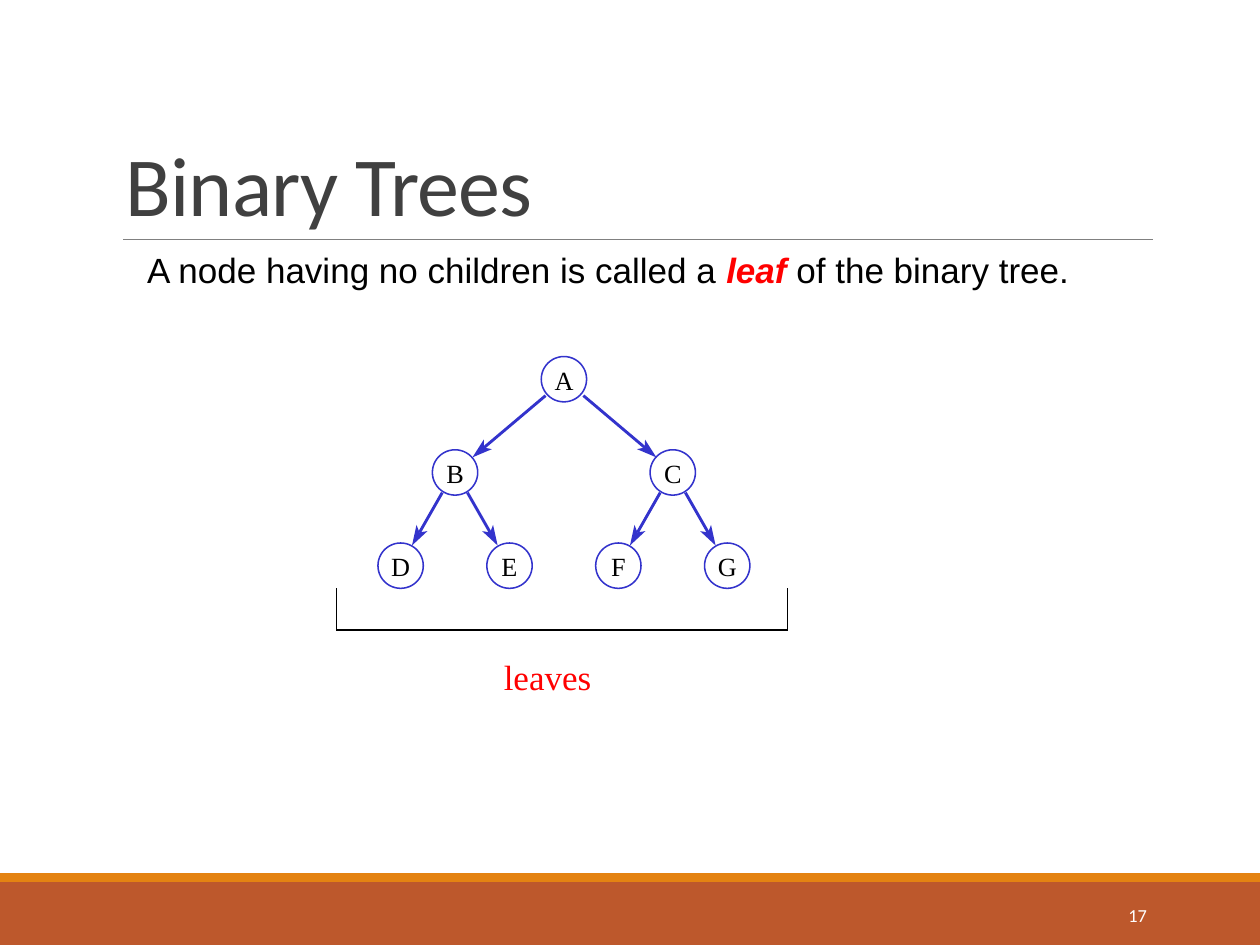
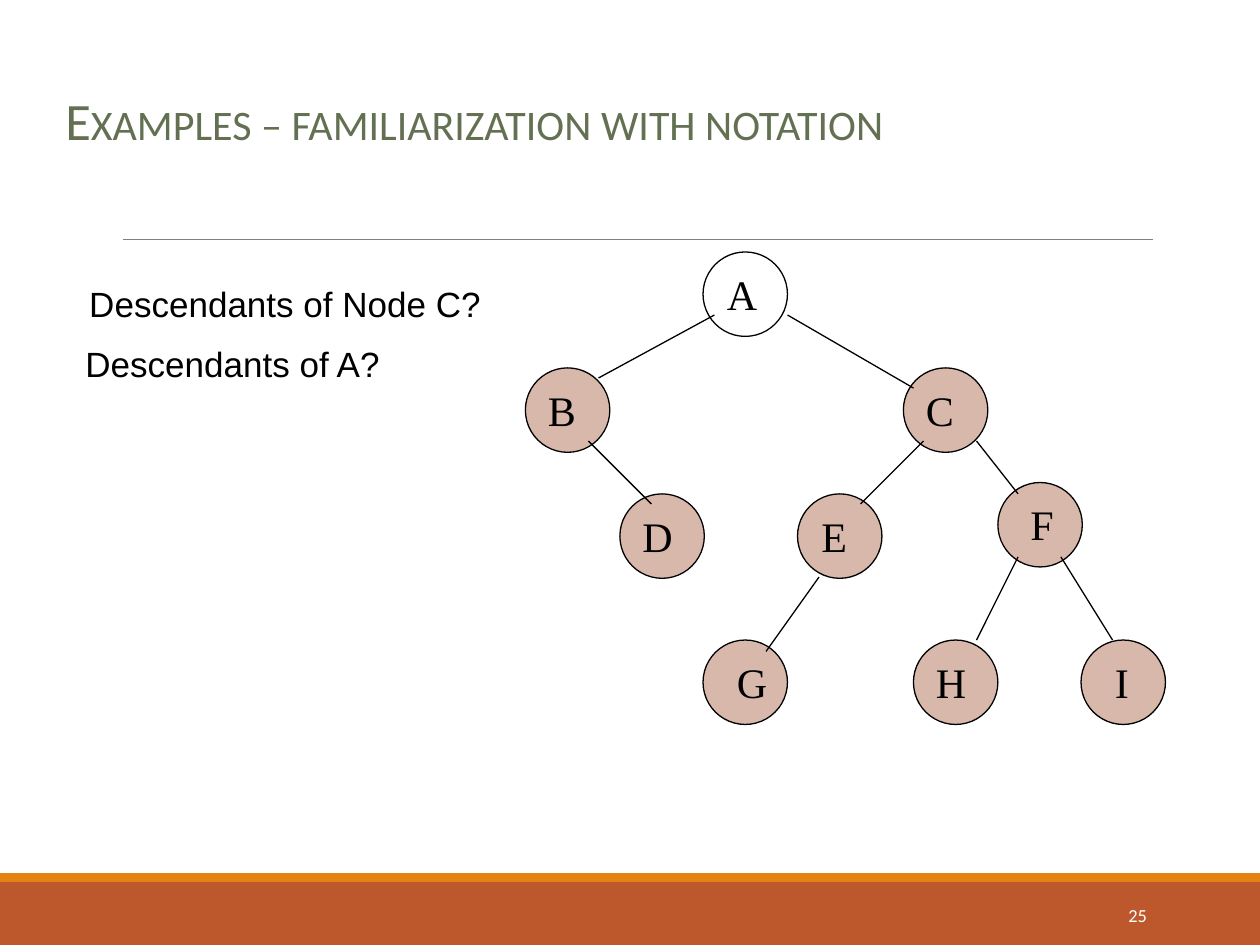
from dataclasses import dataclass
from math import hypot

from lxml import etree
from pptx import Presentation
from pptx.dml.color import RGBColor
from pptx.enum.shapes import MSO_CONNECTOR, MSO_SHAPE
from pptx.enum.text import MSO_ANCHOR, PP_ALIGN
from pptx.oxml.ns import qn
from pptx.util import Inches, Pt

STRAIGHT = MSO_CONNECTOR.STRAIGHT
RECTANGLE, ELLIPSE = MSO_SHAPE.RECTANGLE, MSO_SHAPE.OVAL
TOP, MIDDLE, BOTTOM = MSO_ANCHOR.TOP, MSO_ANCHOR.MIDDLE, MSO_ANCHOR.BOTTOM
LEFT, RIGHT = PP_ALIGN.LEFT, PP_ALIGN.RIGHT

# Width of each node letter as a share of the type size
LETTER_EM = dict(A=0.72, B=0.67, C=0.67, D=0.72, E=0.61, F=0.56, G=0.72, H=0.72, I=0.33)


@dataclass(frozen=True)
class Theme:
    heading_font: str = "Calibri"
    body_font: str = "Arial"
    tree_font: str = "Times New Roman"
    band: str = "BD582C"
    stripe: str = "E48312"
    rule: str = "808080"
    title: str = "404040"
    subtitle: str = "637052"
    ink: str = "000000"
    paper: str = "FFFFFF"
    accent: str = "FF0000"
    branch: str = "3333CC"
    descendant: str = "D7B8AB"
    title_size: float = 48
    subtitle_size: float = 30
    body_size: float = 20
    number_size: float = 10.5


@dataclass(frozen=True)
class NodeStyle:
    diameter: float
    outline: str
    outline_width: float
    letter_size: float
    letter_inset: float
    letter_drop: float


THEME = Theme()
LEAF_TREE = NodeStyle(0.36, THEME.branch, 0.88, 15, 0, 0.06)
FAMILY_TREE = NodeStyle(0.67, THEME.ink, 0.75, 24, 0.1, 0.08)


def rgb(colour):
    return RGBColor.from_string(colour)


class Deck:
    """Holds the presentation, its theme and the slide being filled."""

    def __init__(self, theme):
        self.theme = theme
        self.presentation = Presentation()
        self.presentation.slide_width = Inches(10)
        self.presentation.slide_height = Inches(7.5)
        self.slide = None

    def new_slide(self, number):
        """Start a slide with the shared band, rule and slide number."""
        theme = self.theme
        blank = self.presentation.slide_layouts[6]
        self.slide = self.presentation.slides.add_slide(blank)
        self.shape(RECTANGLE, 0, 7, 10, 0.5, fill=theme.band)
        self.shape(RECTANGLE, 0, 6.93, 10, 0.07, fill=theme.stripe)
        self.line((0.98, 1.9), (9.15, 1.9), theme.rule, 0.5)
        self.text(str(number), 8.12, 7.06, 1.08, 0.4, theme.heading_font,
                  theme.number_size, theme.paper, anchor=MIDDLE, align=RIGHT)

    def shape(self, preset, left, top, width, height, fill=None, outline=None, weight=0.75):
        shape = self.slide.shapes.add_shape(
            preset, Inches(left), Inches(top), Inches(width), Inches(height))
        self.paint(shape, fill, outline, weight)

    def paint(self, shape, fill=None, outline=None, weight=0.75):
        shape.shadow.inherit = False
        if fill:
            shape.fill.solid()
            shape.fill.fore_color.rgb = rgb(fill)
        else:
            shape.fill.background()
        if outline:
            shape.line.color.rgb = rgb(outline)
            shape.line.width = Pt(weight)
        else:
            shape.line.fill.background()

    def line(self, start, end, colour, weight=0.75):
        line = self.slide.shapes.add_connector(
            STRAIGHT, *(Inches(value) for value in (*start, *end)))
        line.line.color.rgb = rgb(colour)
        line.line.width = Pt(weight)
        etree.SubElement(line._element.spPr, qn("a:effectLst"))

    def arrow(self, start, tip, colour, weight):
        """Draw a line that runs into the notch of a slim barbed head."""
        run, rise = tip[0] - start[0], tip[1] - start[1]
        length = hypot(run, rise)
        along_x, along_y = run / length, rise / length

        def behind_tip(back, aside=0):
            return (tip[0] - back * along_x - aside * along_y,
                    tip[1] - back * along_y + aside * along_x)

        notch = behind_tip(0.12)
        self.line(start, notch, colour, weight)
        outline = [tip, behind_tip(0.16, 0.05), notch, behind_tip(0.16, -0.05)]
        corners = [(Inches(x), Inches(y)) for x, y in outline]
        head = self.slide.shapes.build_freeform(*corners[0])
        head.add_line_segments(corners[1:], close=True)
        self.paint(head.convert_to_shape(), fill=colour)

    def text(self, words, left, top, width, height, font, size, colour,
             anchor=TOP, align=LEFT, inset=None, wrap=True):
        """Add a one-paragraph text box and return the paragraph."""
        box = self.slide.shapes.add_textbox(
            Inches(left), Inches(top), Inches(width), Inches(height))
        frame = box.text_frame
        frame.word_wrap = wrap
        frame.vertical_anchor = anchor
        if inset is not None:
            frame.margin_left = frame.margin_right = Inches(inset)
            frame.margin_top = frame.margin_bottom = Inches(inset / 2)
        paragraph = frame.paragraphs[0]
        paragraph.alignment = align
        paragraph.font.name = font
        paragraph.font.size = Pt(size)
        paragraph.font.color.rgb = rgb(colour)
        paragraph.add_run().text = words
        return paragraph

    def body(self, words, left, top, width, height=0.5):
        return self.text(words, left, top, width, height, self.theme.body_font,
                         self.theme.body_size, self.theme.ink)

    def title(self, words, left, top, width, height, size, colour, **run_attributes):
        paragraph = self.text(words, left, top, width, height,
                              self.theme.heading_font, size, colour, anchor=BOTTOM)
        properties = paragraph.runs[0]._r.get_or_add_rPr()
        for name, value in run_attributes.items():
            properties.set(name, value)
        return paragraph

    def node(self, left, top, style, fill=None):
        self.shape(ELLIPSE, left, top, style.diameter, style.diameter,
                   fill, style.outline, style.outline_width)

    def letter(self, letter, left, top, style, shift=None):
        """Label a node, centred unless a shift from its left side is given."""
        width = LETTER_EM[letter] * style.letter_size / 72 + 2 * style.letter_inset
        if shift is None:
            shift = (style.diameter - width) / 2
        height = style.letter_size / 60 + style.letter_inset
        self.text(letter, left + shift, top + style.letter_drop, width, height,
                  self.theme.tree_font, style.letter_size, self.theme.ink,
                  inset=style.letter_inset, wrap=False)


def leaves_slide(deck):
    theme = deck.theme
    deck.new_slide(17)
    heading = deck.title("Binary Trees", 0.9, 0.31, 8.25, 1.59,
                         theme.title_size, theme.title, spc="-50")
    heading.line_spacing = 0.85

    definition = deck.body("A node having no children is called a ", 1.07, 1.92, 8.02, 0.44)
    term = definition.add_run()
    term.text = "leaf"
    term.font.bold = term.font.italic = True
    term.font.color.rgb = rgb(theme.accent)
    definition.add_run().text = " of the binary tree."

    # In-order positions give the columns; depth gives the rows
    depths = dict(D=2, B=1, E=2, A=0, F=2, C=1, G=2)
    for column, (name, depth) in enumerate(depths.items()):
        place = 3 + 0.432 * column, 2.83 + 0.74 * depth
        deck.node(*place, LEAF_TREE)
        deck.letter(name, *place, LEAF_TREE)

    # Parent centre, start and end heights, start and end distances from the centre
    branches = [(4.48, 3.14, 3.63, 0.15, 0.73),
                (3.61, 3.91, 4.33, 0.1, 0.34),
                (5.34, 3.91, 4.33, 0.1, 0.34)]
    for centre, start_y, end_y, near, far in branches:
        for side in (-1, 1):
            deck.arrow((centre + side * near, start_y), (centre + side * far, end_y),
                       theme.branch, 1.63)

    bracket = [(2.67, 4.67), (2.67, 5), (6.25, 5), (6.25, 4.67)]
    for start, end in zip(bracket, bracket[1:]):
        deck.line(start, end, theme.ink)
    deck.text("leaves", 3.9, 5.15, 1, 0.43, theme.tree_font, theme.body_size, theme.accent)


def notation_slide(deck):
    theme = deck.theme
    deck.new_slide(25)

    # Left, top and the shift of the letter from the left side
    nodes = dict(A=(5.58, 2, 0.09), B=(4.17, 2.92, 0.08), C=(7.17, 2.92, 0.08),
                 D=(4.92, 3.92, 0.08), E=(6.33, 3.92, 0.09), F=(7.92, 3.83, 0.16),
                 G=(5.58, 5.08, 0.17), H=(7.25, 5.08, 0.08), I=(8.58, 5.08, 0.17))
    for name, (left, top, _) in nodes.items():
        deck.node(left, top, FAMILY_TREE, None if name == "A" else theme.descendant)

    edges = [((5.67, 2.5), (4.75, 3)), ((6.25, 2.5), (7.25, 3.08)),
             ((4.67, 3.5), (5.17, 4)), ((7.33, 3.5), (6.83, 4)),
             ((7.75, 3.5), (8.08, 3.92)), ((6.5, 4.58), (6.08, 5.17)),
             ((8.08, 4.42), (7.75, 5.08)), ((8.42, 4.42), (8.83, 5.08))]
    for parent, child in edges:
        deck.line(parent, child, theme.ink)

    for name, (left, top, shift) in nodes.items():
        deck.letter(name, left, top, FAMILY_TREE, shift)

    deck.body("Descendants of Node C?", 0.61, 2.19, 4.05)
    deck.body("Descendants of A?", 0.58, 2.67, 3.03)
    deck.title("Examples – familiarization with notation", 0.42, 0, 8.17, 1.25,
               theme.subtitle_size, theme.subtitle, cap="small")


def main():
    deck = Deck(THEME)
    leaves_slide(deck)
    notation_slide(deck)
    deck.presentation.save("out.pptx")


if __name__ == "__main__":
    main()
